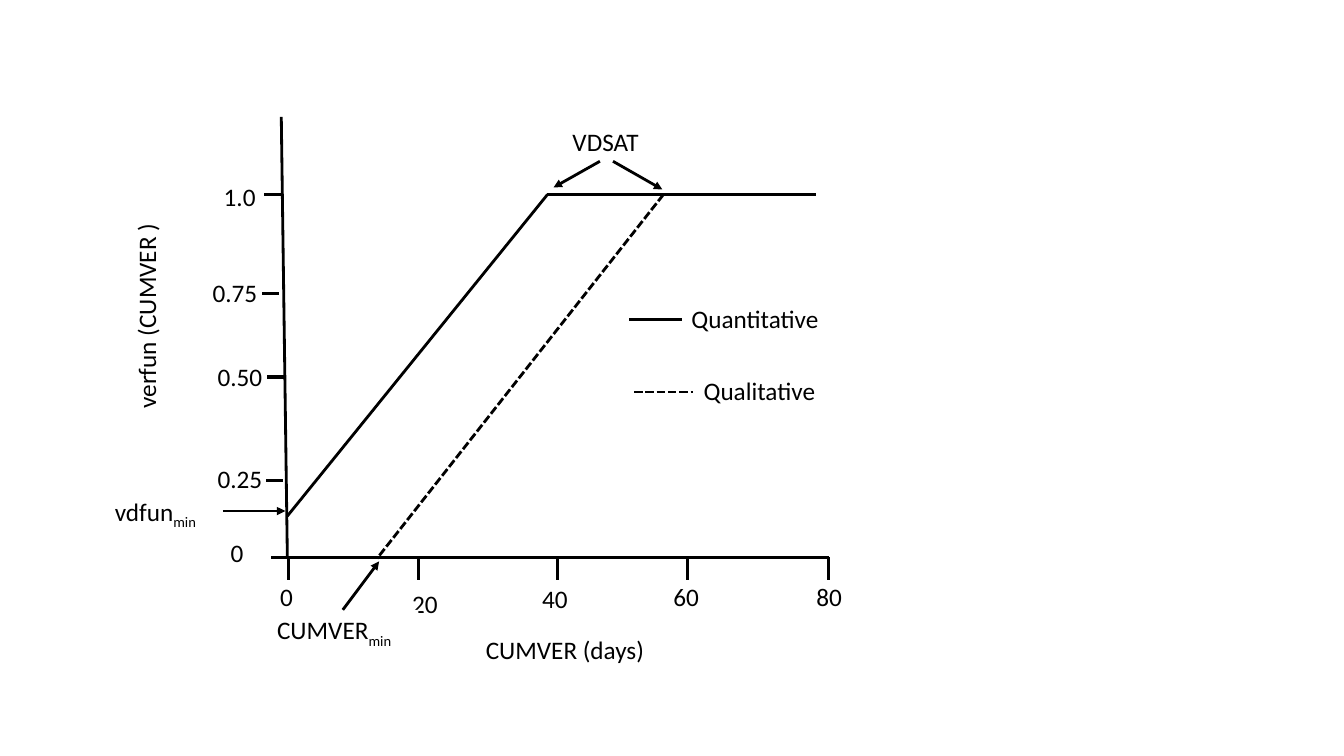
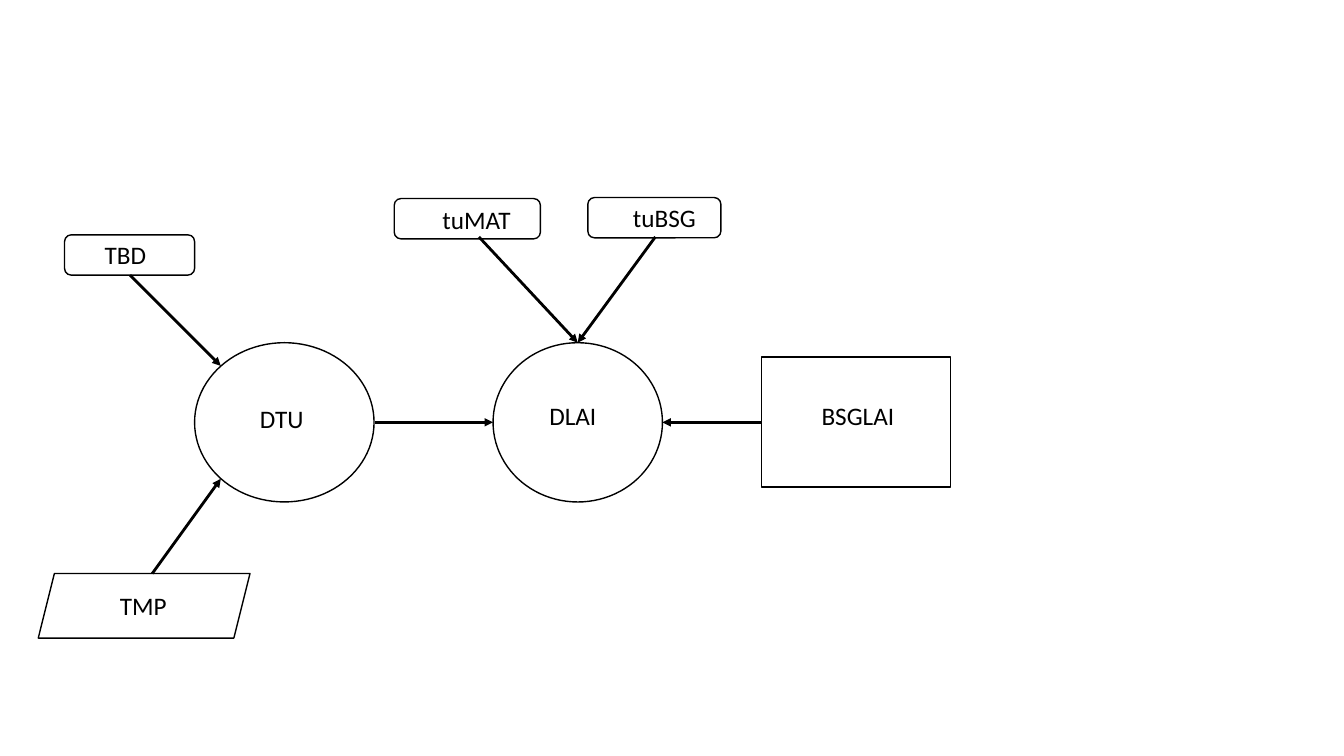
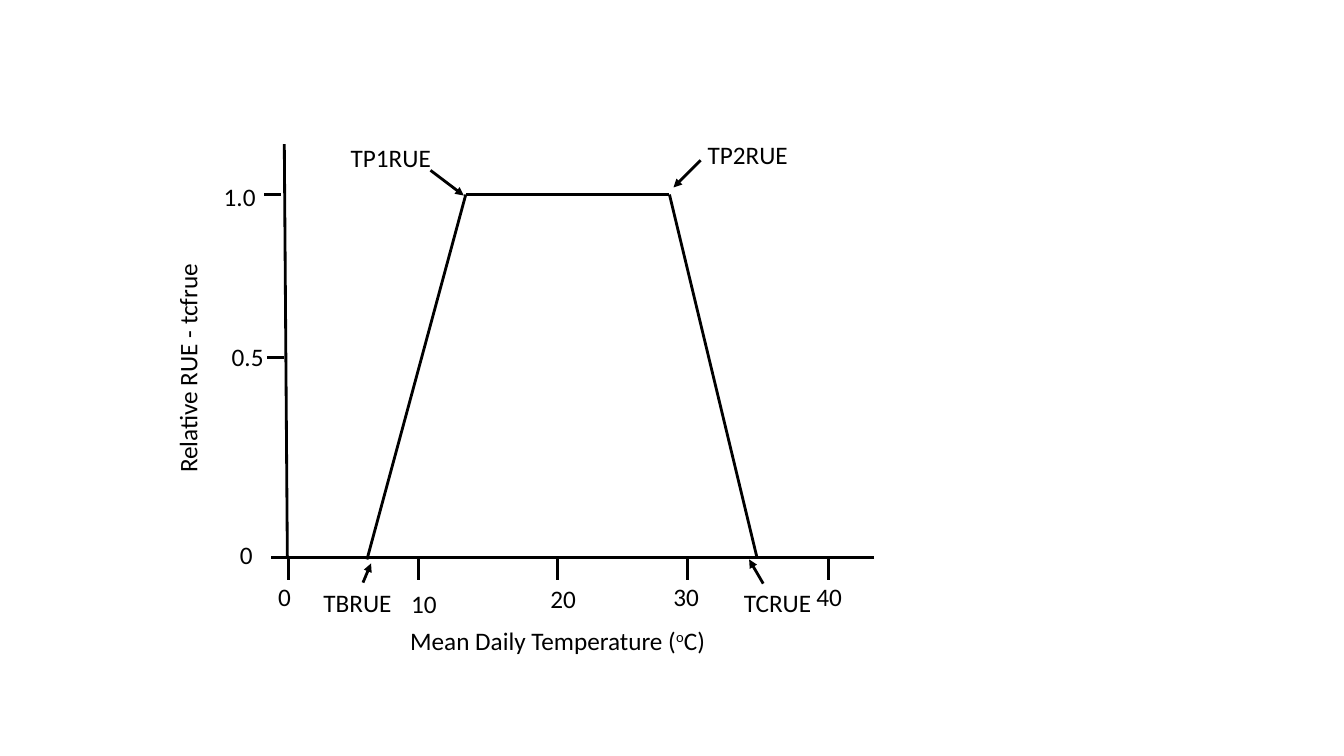
from dataclasses import dataclass
from itertools import pairwise

from lxml.etree import SubElement
from pptx import Presentation
from pptx.dml.color import RGBColor
from pptx.enum.dml import MSO_LINE_DASH_STYLE as Dash
from pptx.enum.shapes import MSO_CONNECTOR as Connector, MSO_SHAPE as Shape
from pptx.enum.text import MSO_ANCHOR as Anchor, PP_ALIGN as Align
from pptx.oxml.ns import qn
from pptx.util import Inches, Pt


@dataclass(frozen=True)
class Theme:
    ink: RGBColor = RGBColor(0, 0, 0)
    paper: RGBColor = RGBColor(255, 255, 255)
    font: str = "Calibri"
    text_size: float = 18
    outline: float = 1
    stroke: float = 2
    tick: float = 2.25
    subscript: int = -25
    superscript: int = 30


THEME = Theme()
COLUMN = ROW = Inches(1)
BLANK_LAYOUT = 6
LABEL_HEIGHT = 0.4

X_AXIS = 5.53
X_TICKS = (2.86, 4.15, 5.53, 6.82, 8.22)
X_LABEL_TOPS = (5.72, 5.79, 5.74, 5.72, 5.72)
X_TICK_LENGTH = 0.22
Y_TICK_LENGTH = 0.17


def write(frame, parts, size=THEME.text_size, color=THEME.ink, align=Align.LEFT):
    """Fill a frame with a string, or with (string, baseline shift in percent) pairs."""
    frame.word_wrap = True
    frame.vertical_anchor = Anchor.TOP
    paragraph = frame.paragraphs[0]
    paragraph.alignment = align
    for words, shift in [(parts, 0)] if isinstance(parts, str) else parts:
        run = paragraph.add_run()
        run.text = words
        run.font.name = THEME.font
        run.font.size = Pt(size)
        run.font.color.rgb = color
        if shift:
            run.font._element.set("baseline", str(shift * 1000))


class Deck:
    """Draws on the current slide; lengths are columns and rows of the grid."""

    def __init__(self):
        self.show = Presentation()
        self.show.slide_width = round(13.33 * COLUMN)
        self.show.slide_height = round(7.5 * ROW)
        self.slide = None

    def new_slide(self):
        layout = self.show.slide_layouts[BLANK_LAYOUT]
        self.slide = self.show.slides.add_slide(layout)

    def grid(self, *lengths):
        """Turn alternating columns and rows into slide units."""
        return [round(n * (ROW if i % 2 else COLUMN)) for i, n in enumerate(lengths)]

    def label(self, parts, left, top, width=0.67, turn=0):
        area = self.grid(left, top, width, LABEL_HEIGHT)
        label = self.slide.shapes.add_textbox(*area)
        label.rotation = turn
        write(label.text_frame, parts)

    def line(self, start, end, weight=THEME.stroke, dashed=False, arrow=False):
        ends = self.grid(*start, *end)
        line = self.slide.shapes.add_connector(Connector.STRAIGHT, *ends)
        line.line.color.rgb = THEME.ink
        line.line.width = Pt(weight)
        if dashed:
            line.line.dash_style = Dash.SQUARE_DOT
        if arrow:
            SubElement(line.line._get_or_add_ln(), qn("a:tailEnd"), type="triangle")
        SubElement(line._element.spPr, qn("a:effectLst"))

    def arrow(self, start, end):
        self.line(start, end, arrow=True)

    def curve(self, *points):
        for start, end in pairwise(points):
            self.line(start, end)

    def box(self, kind, left, top, width, height, filled=True, outlined=True):
        area = self.grid(left, top, width, height)
        box = self.slide.shapes.add_shape(kind, *area)
        box.shadow.inherit = False
        if filled:
            box.fill.solid()
            box.fill.fore_color.rgb = THEME.paper
        else:
            box.fill.background()
        if outlined:
            box.line.color.rgb = THEME.ink
            box.line.width = Pt(THEME.outline)
        else:
            box.line.fill.background()
        return box

    def axes(self, y_axis_top, x_axis_end, x_labels, y_labels):
        """x_labels: (text, left); y_labels: (text, left, top, tick start, tick height)."""
        self.line(y_axis_top, (2.85, X_AXIS))
        self.line((x_axis_end, X_AXIS), (2.84, X_AXIS))
        for x, top, (words, left) in zip(X_TICKS, X_LABEL_TOPS, x_labels):
            self.line((x, X_AXIS), (x, X_AXIS + X_TICK_LENGTH))
            self.label(words, left, top)
        for words, left, top, x, y in y_labels:
            self.line((x, y), (x + Y_TICK_LENGTH, y), weight=THEME.tick)
            self.label(words, left, top)


def vernalization_slide(deck):
    deck.new_slide()
    deck.axes(
        (2.79, 1.16), 8.22,
        [("0", 2.68), ("20", 3.99), ("40", 5.28), ("60", 6.58), ("80", 8)],
        [("1.0", 2.12, 1.75, 2.62, 1.93),
         ("0.75", 2.01, 2.7, 2.6, 2.91),
         ("0.50", 2.06, 3.54, 2.65, 3.74),
         ("0.25", 2.06, 4.55, 2.64, 4.77),
         ("0", 2.19, 5.28, 2.69, X_AXIS)])
    deck.label("CUMVER (days)", 4.72, 6.24, 2.04)
    deck.label("verfun (CUMVER )", 0.38, 2.88, 2.14, turn=270)

    deck.curve((2.85, 5.12), (5.43, 1.93), (8.09, 1.93))
    deck.line((6.58, 1.93), (3.74, 5.54), dashed=True)
    deck.line((6.24, 3.17), (6.76, 3.17))
    deck.label("Quantitative", 6.76, 2.96, 1.5)
    deck.line((6.29, 3.89), (6.87, 3.89), dashed=True)
    deck.label("Qualitative", 6.88, 3.67, 1.45)

    minimum = ("min", THEME.subscript)
    cumver = deck.box(Shape.RECTANGLE, 2.65, 6.05, 1.5, LABEL_HEIGHT, outlined=False)
    write(cumver.text_frame, [("CUMVER", 0), minimum])
    deck.label([("vdfun", 0), minimum], 1.04, 4.87, 1.16)
    deck.label("VDSAT", 5.58, 1.2, 1)
    deck.arrow((3.4, 6.05), (3.76, 5.57))
    deck.arrow((2.21, 5.07), (2.83, 5.07))
    deck.arrow((6.08, 1.6), (6.57, 1.88))
    deck.arrow((5.95, 1.6), (5.49, 1.86))


def leaf_area_slide(deck):
    deck.new_slide()
    for kind, area, words, left, top, width in [
        (Shape.OVAL, (4.89, 3.4, 1.68, 1.58), "DLAI", 5.35, 3.92, 1.34),
        (Shape.OVAL, (1.93, 3.4, 1.78, 1.58), "DTU", 2.48, 3.95, 1.03),
        (Shape.ROUNDED_RECTANGLE, (3.91, 1.97, 1.45, 0.4), "tuMAT", 4.29, 1.98, 0.96),
        (Shape.ROUNDED_RECTANGLE, (5.83, 1.96, 1.32, 0.4), "tuBSG", 6.18, 1.96, 0.87),
        (Shape.ROUNDED_RECTANGLE, (0.64, 2.33, 1.29, 0.4), "TBD", 0.94, 2.33, 0.83),
        (Shape.RECTANGLE, (7.55, 3.54, 1.88, 1.29), "BSGLAI", 8.05, 3.92, 1.26),
        (Shape.PARALLELOGRAM, (0.38, 5.69, 2.1, 0.64), "TMP", 1.09, 5.81, 0.99),
    ]:
        deck.box(kind, *area, filled=kind != Shape.RECTANGLE)
        deck.label(words, left, top, width)

    dlai_top = (5.73, 3.4)
    deck.arrow((4.75, 2.35), dlai_top)
    deck.arrow((6.5, 2.35), dlai_top)
    deck.arrow((7.55, 4.19), (6.57, 4.19))
    deck.arrow((3.72, 4.19), (4.89, 4.19))
    deck.arrow((1.29, 2.73), (2.19, 3.63))
    deck.arrow((1.51, 5.69), (2.19, 4.75))


def temperature_slide(deck):
    deck.new_slide()
    deck.axes(
        (2.82, 1.43), 8.67,
        [("0", 2.66), ("10", 3.98), ("20", 5.36), ("30", 6.58), ("40", 8)],
        [("1.0", 2.12, 1.75, 2.62, 1.93),
         ("0.5", 2.2, 3.34, 2.65, 3.55),
         ("0", 2.28, 5.3, 2.69, X_AXIS)])
    degree = ("o", THEME.superscript)
    deck.label([("Mean Daily Temperature (", 0), degree, ("C)", 0)], 3.97, 6.15, 3.2)
    deck.label("Relative RUE - tcfrue", 0.54, 3.27, 2.64, turn=270)

    deck.curve((3.64, 5.55), (4.62, 1.93), (6.64, 1.93), (7.51, 5.54))
    for words, left, top, start, end in [
        ("TBRUE", 3.11, 5.78, (3.6, 5.78), (3.68, 5.59)),
        ("TP1RUE", 3.38, 1.36, (4.27, 1.69), (4.6, 1.94)),
        ("TP2RUE", 6.92, 1.33, (6.95, 1.59), (6.68, 1.86)),
        ("TCRUE", 7.28, 5.78, (7.57, 5.79), (7.43, 5.55)),
    ]:
        deck.label(words, left, top, 1.07)
        deck.arrow(start, end)


def main():
    deck = Deck()
    vernalization_slide(deck)
    leaf_area_slide(deck)
    temperature_slide(deck)
    deck.show.save("out.pptx")


if __name__ == "__main__":
    main()
